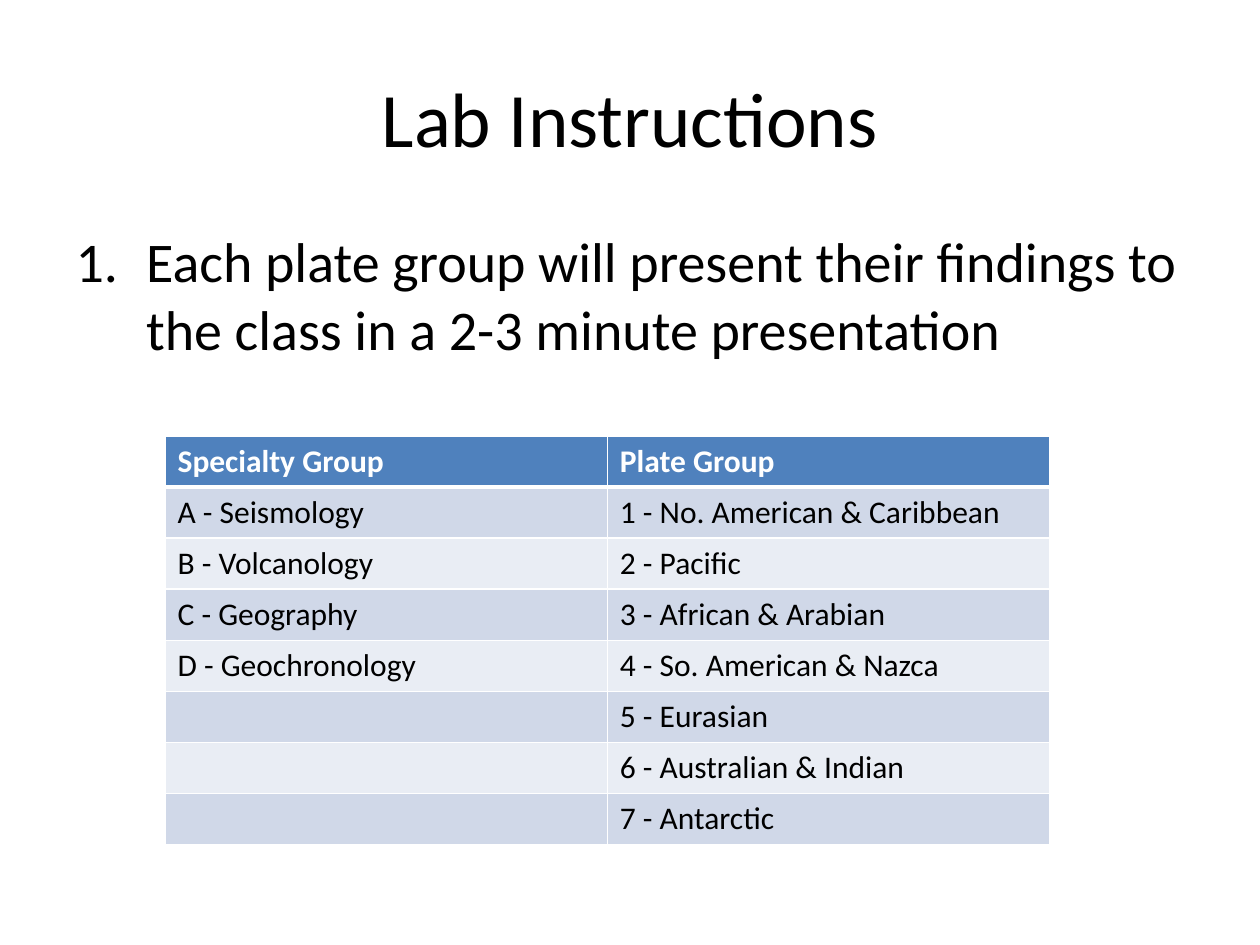
"""Build the lab instructions slide with a numbered step and a group table."""
from itertools import zip_longest

from lxml.etree import SubElement as Sub
from pptx import Presentation
from pptx.dml.color import RGBColor as Rgb
from pptx.enum.text import MSO_ANCHOR as Anchor, MSO_AUTO_SIZE as Auto, PP_ALIGN as Align
from pptx.oxml.ns import qn
from pptx.util import Inches, Pt

HUES = {"ink": "000000", "white": "FFFFFF", "head": "4F81BD",
        "odd": "D0D8E8", "even": "E9EDF4"}
HEADS = ("Specialty Group", "Plate Group")
FIELDS = ("A - Seismology", "B - Volcanology", "C - Geography", "D - Geochronology")
PLATES = ("1 - No. American & Caribbean", "2 - Pacific", "3 - African & Arabian",
          "4 - So. American & Nazca", "5 - Eurasian", "6 - Australian & Indian",
          "7 - Antarctic")


class Deck:
    """Holds the style and the current slide."""

    def __init__(self, wide, high):
        self.show = Presentation()
        self.show.slide_width, self.show.slide_height = Inches(wide), Inches(high)
        self.font = "Calibri"
        self.slide = self.show.slides.add_slide(self.show.slide_layouts[1])

    def style(self, para, size, hue="ink", bold=False):
        form = {"name": self.font, "size": Pt(size), "bold": bold}
        for key, val in form.items():
            setattr(para.font, key, val)
        para.font.color.rgb = Rgb.from_string(HUES[hue])

    def place(self, shape, box, text, anchor):
        sides = ("left", "top", "width", "height")
        for side, val in zip(sides, box):
            setattr(shape, side, Inches(val))
        frame = shape.text_frame
        form = {"text": text, "word_wrap": True, "auto_size": Auto.NONE,
                "vertical_anchor": anchor}
        for key, val in form.items():
            setattr(frame, key, val)
        return frame.paragraphs[0]

    def title(self, box, text):
        para = self.place(self.slide.shapes.title, box, text, Anchor.MIDDLE)
        para.alignment = Align.CENTER
        self.style(para, 44)

    def step(self, box, text, dent):
        para = self.place(self.slide.placeholders[1], box, text, Anchor.TOP)
        para.space_before = Pt(0)
        props = para._p.get_or_add_pPr()
        props.set("marL", str(Inches(dent)))
        props.set("indent", str(-Inches(dent)))
        Sub(props, qn("a:buFont"), typeface="+mj-lt")
        Sub(props, qn("a:buAutoNum"), type="arabicPeriod")
        self.style(para, 32)

    def edge(self, cell, head, first):
        props = cell._tc.get_or_add_tcPr()
        wide = {"lnL": 1, "lnR": 1, "lnT": 3 if first else 1, "lnB": 3 if head else 1}
        for tag, size in wide.items():
            line = Sub(props, qn(f"a:{tag}"), w=str(Pt(size)))
            Sub(Sub(line, qn("a:solidFill")), qn("a:srgbClr"), val=HUES["white"])

    def table(self, box, rows):
        grid = self.slide.shapes.add_table(
            len(rows), len(rows[0]), *map(Inches, box)).table
        for r, row in enumerate(rows):
            head = r == 0
            hue = "head" if head else "odd" if r % 2 else "even"
            for c, text in enumerate(row):
                cell = grid.cell(r, c)
                cell.text = text
                self.edge(cell, head, r == 1)
                cell.fill.solid()
                cell.fill.fore_color.rgb = Rgb.from_string(HUES[hue])
                self.style(cell.text_frame.paragraphs[0], 18,
                           "white" if head else "ink", head)


def main():
    deck = Deck(10, 7.5)
    deck.title((0.5, 0.3, 9, 1.25), "Lab Instructions")
    deck.step((0.5, 1.75, 9, 4.95), "Each plate group will present their findings "
              "to the class in a 2-3 minute presentation", 0.56)
    rows = [HEADS, *zip_longest(FIELDS, PLATES, fillvalue="")]
    deck.table((1.31, 3.46, 7.02, 3.24), rows)
    deck.show.save("out.pptx")


if __name__ == "__main__":
    main()
